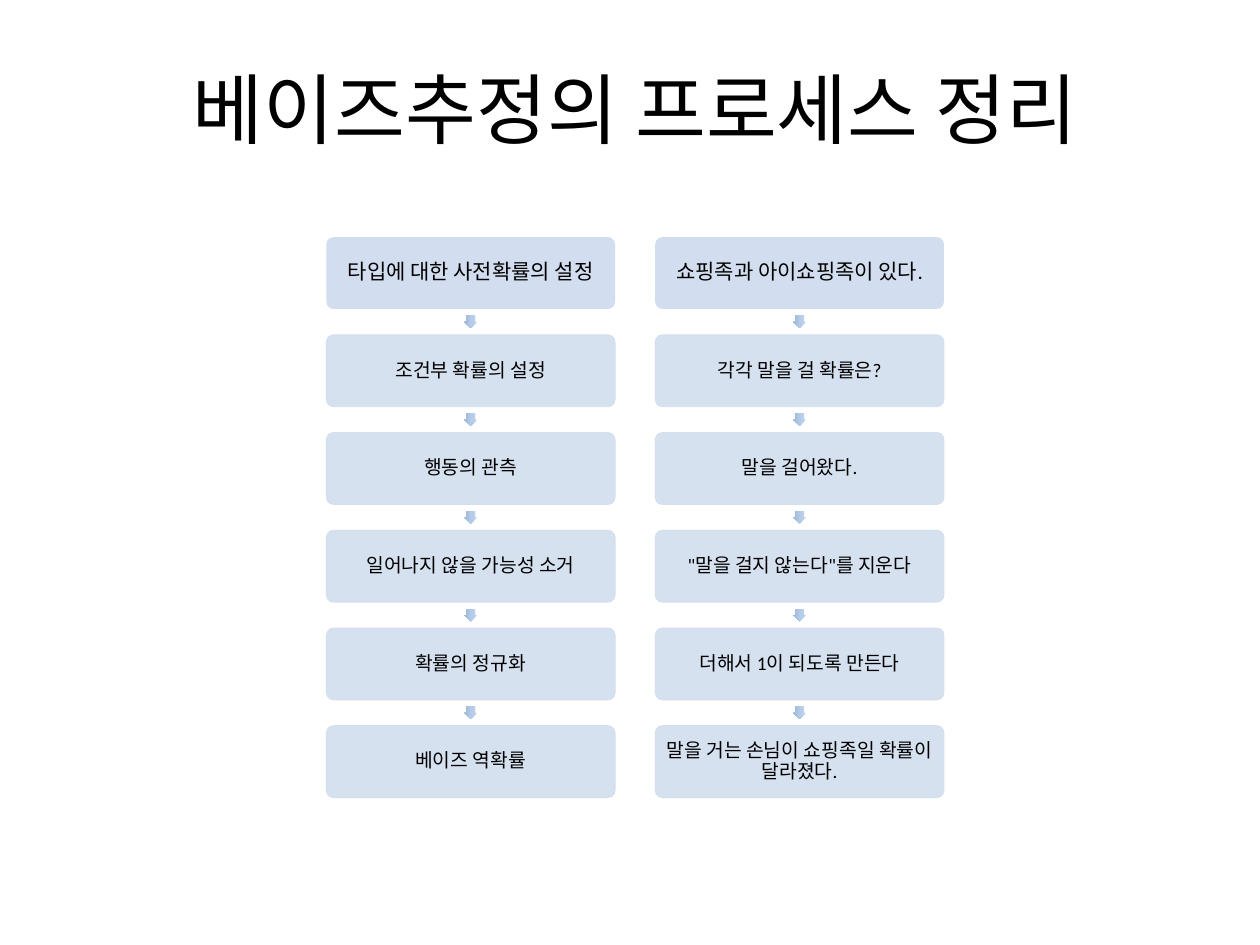
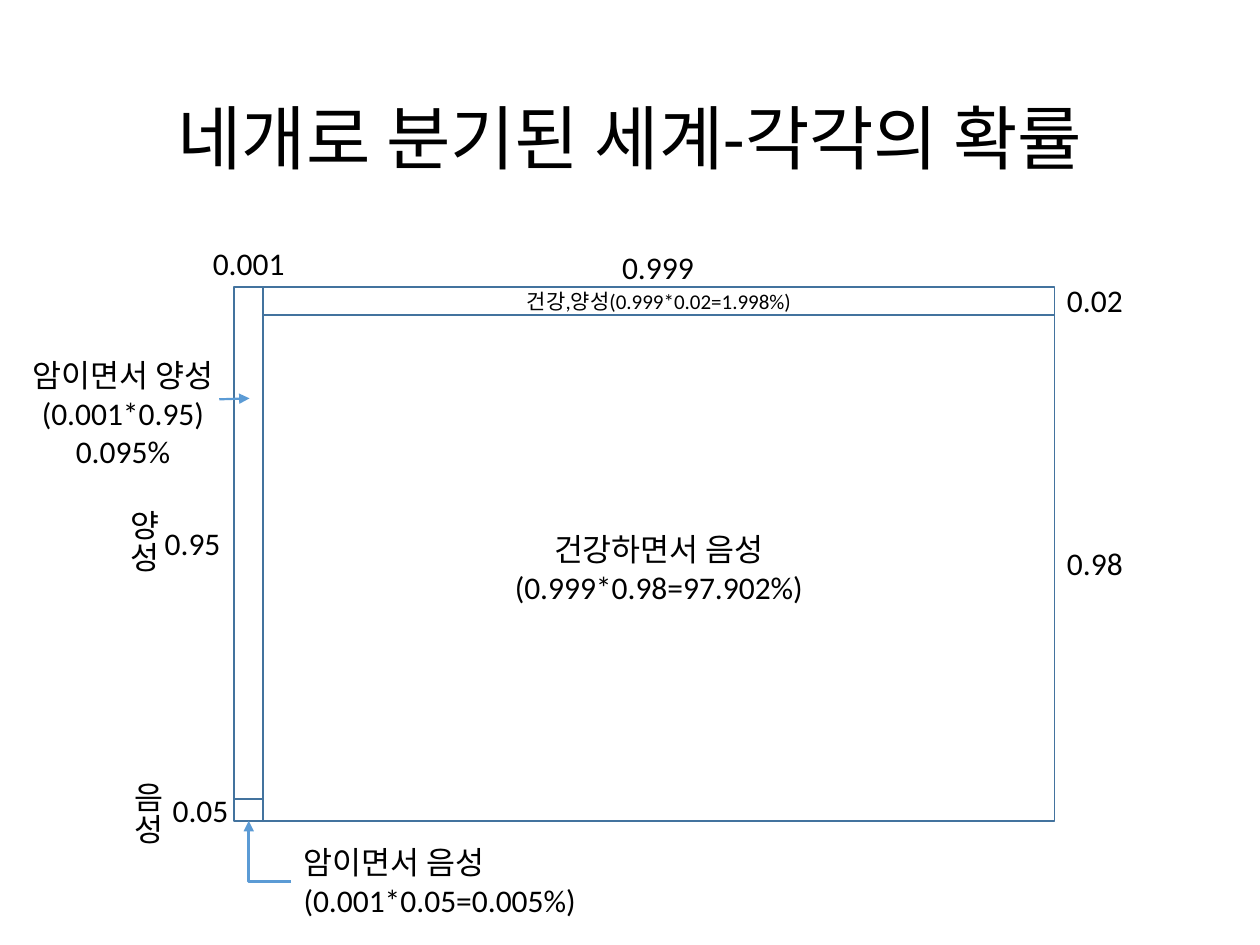
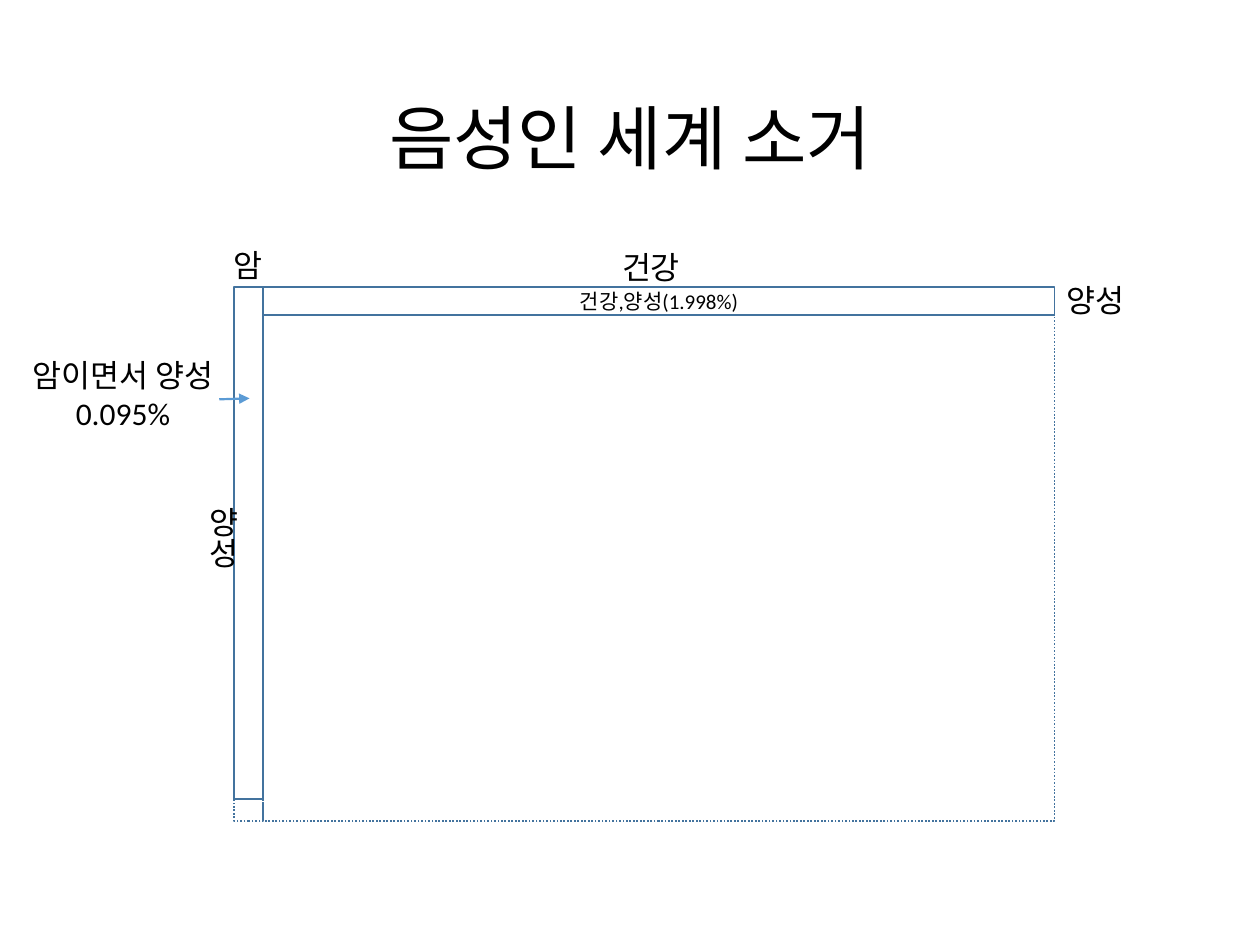
from dataclasses import dataclass
from typing import NamedTuple

from lxml import etree
from pptx import Presentation
from pptx.dml.color import RGBColor
from pptx.enum.dml import MSO_LINE
from pptx.enum.shapes import MSO_CONNECTOR, MSO_SHAPE
from pptx.enum.text import MSO_ANCHOR, MSO_AUTO_SIZE, PP_ALIGN
from pptx.oxml import parse_xml
from pptx.oxml.ns import nsdecls, qn
from pptx.util import Cm, Pt

BOX, ROUND, ARROW = MSO_SHAPE.RECTANGLE, MSO_SHAPE.ROUNDED_RECTANGLE, MSO_SHAPE.RIGHT_ARROW
STRAIGHT, ELBOW = MSO_CONNECTOR.STRAIGHT, MSO_CONNECTOR.ELBOW
LEFT, CENTER, MIDDLE, TOP = PP_ALIGN.LEFT, PP_ALIGN.CENTER, MSO_ANCHOR.MIDDLE, MSO_ANCHOR.TOP
DOTS = MSO_LINE.ROUND_DOT
SIDES = ("margin_left", "margin_top", "margin_right", "margin_bottom")


@dataclass(frozen=True)
class Theme:
    font: str = "Calibri"
    ink: str = "000000"
    step: str = "D2DEEF"
    edge: str = "43739E"
    pointer: str = "5B9BD5"
    fade: tuple[str, ...] = ("C0D2EB", "B3CBE9", "9BB4D3")
    big: float = 44
    title: float = 40
    body: float = 18
    small: float = 12
    tiny: float = 11


class Area(NamedTuple):
    """Left, top, width and height in centimetres."""
    x: float
    y: float
    w: float
    h: float


class Tag(NamedTuple):
    text: str
    x: float
    y: float
    w: float
    align: PP_ALIGN = LEFT
    upright: bool = False


class Cell(NamedTuple):
    area: Area
    text: str = ""
    size: float = 18
    dotted: bool = False


THEME = Theme()

# Process chart
STEPS = (
    ("타입에 대한 사전확률의 설정", "쇼핑족과 아이쇼핑족이 있다."),
    ("조건부 확률의 설정", "각각 말을 걸 확률은?"),
    ("행동의 관측", "말을 걸어왔다."),
    ("일어나지 않을 가능성 소거", '"말을 걸지 않는다"를 지운다'),
    ("확률의 정규화", "더해서 1이 되도록 만든다"),
    ("베이즈 역확률", "말을 거는 손님이 쇼핑족일 확률이 달라졌다."),
)
FIRST = Area(6.58, 4.78, 5.82, 1.45)
COL_GAP, ROW_GAP, TIP = 0.81, 0.52, 0.26

# Edges of the divided world
X0, X1, X2 = 4.72, 5.31, 21.26
Y0, Y1, Y2, Y3 = 5.79, 6.35, 16.11, 16.55
SICK_POS = Area(X0, Y0, X1 - X0, Y2 - Y0)
SICK_NEG = Area(X0, Y2, X1 - X0, Y3 - Y2)
WELL_POS = Area(X1, Y0, X2 - X1, Y1 - Y0)
WELL_NEG = Area(X1, Y1, X2 - X1, Y3 - Y1)
LOW_TITLE = Area(1.75, 1.02, 21.9, 3.68)


def place(area: Area) -> list[Cm]:
    return [Cm(v) for v in area]


def paint(fill, color: str) -> None:
    fill.solid()
    fill.fore_color.rgb = RGBColor.from_string(color)


def write(shape, text: str, size: float, align: PP_ALIGN = CENTER,
          spacing: float = 1.0, **frame_format) -> None:
    frame = shape.text_frame
    frame.text = text
    for key, value in ({"word_wrap": True, "vertical_anchor": MIDDLE} | frame_format).items():
        setattr(frame, key, value)
    for para in frame.paragraphs:
        para.alignment, para.line_spacing = align, spacing
        for key, value in {"name": THEME.font, "size": Pt(size)}.items():
            setattr(para.font, key, value)
        para.font.color.rgb = RGBColor.from_string(THEME.ink)


def add_title(slide, text: str, area: Area, size: float) -> None:
    write(slide.shapes.add_textbox(*place(area)), text, size, spacing=0.9)


def add_shape(slide, kind: MSO_SHAPE, area: Area):
    shape = slide.shapes.add_shape(kind, *place(area))
    shape.shadow.inherit = False
    return shape


def add_step(slide, area: Area, text: str, head: bool) -> None:
    """Heads are solid and a little larger; other steps are slightly see-through."""
    step = add_shape(slide, ROUND, area)
    step.adjustments[0] = 0.1
    paint(step.fill, THEME.step)
    if head:
        step.line.fill.background()
    else:
        paint(step.line.fill, THEME.step)
        step.line.width = Pt(0.5)
        for color in step.element.spPr.iter(qn("a:srgbClr")):
            etree.SubElement(color, qn("a:alpha"), val="90000")
    write(step, text, THEME.small if head else THEME.tiny, spacing=0.9,
          **dict.fromkeys(SIDES, Cm(0.05)))


def add_tip(slide, area: Area) -> None:
    tip = add_shape(slide, ARROW, area)
    tip.rotation = 90
    tip.adjustments[0], tip.adjustments[1] = 0.67, 0.5
    tip.line.fill.background()
    stops = "".join(f'<a:gs pos="{i * 50000}"><a:srgbClr val="{color}"/></a:gs>'
                    for i, color in enumerate(THEME.fade))
    tip.element.spPr.find(qn("a:prstGeom")).addnext(parse_xml(
        f'<a:gradFill {nsdecls("a")} rotWithShape="1"><a:gsLst>{stops}</a:gsLst>'
        '<a:lin ang="5400000" scaled="0"/></a:gradFill>'))


def add_cell(slide, cell: Cell):
    shape = add_shape(slide, BOX, cell.area)
    shape.fill.background()
    paint(shape.line.fill, THEME.edge)
    shape.line.width = Pt(1)
    if cell.dotted:
        shape.line.dash_style = DOTS
    if cell.text:
        write(shape, cell.text, cell.size)
    return shape


def add_tag(slide, tag: Tag):
    lines = tag.text.count("\n") + 1
    height = 1.63 if tag.upright else 0.25 + 0.77 * lines
    box = slide.shapes.add_textbox(*place(Area(tag.x, tag.y, tag.w, height)))
    write(box, tag.text, THEME.body, tag.align, word_wrap=False, vertical_anchor=TOP,
          auto_size=MSO_AUTO_SIZE.SHAPE_TO_FIT_TEXT)
    if tag.upright:
        box.element.txBody.bodyPr.set("vert", "eaVert")
    return box


def add_pointer(slide, kind: MSO_CONNECTOR, ends: Area, width: float):
    """Draw an arrow; ends holds the start point, then the end point."""
    line = slide.shapes.add_connector(kind, *place(ends))
    paint(line.line.fill, THEME.pointer)
    line.line.width = Pt(width)
    props = line.element.spPr
    etree.SubElement(props.find(qn("a:ln")), qn("a:tailEnd"), type="triangle")
    etree.SubElement(props, qn("a:effectLst"))
    return line


def draw_steps(slide) -> None:
    for row, texts in enumerate(STEPS):
        for col, text in enumerate(texts):
            x = FIRST.x + col * (FIRST.w + COL_GAP)
            y = FIRST.y + row * (FIRST.h + ROW_GAP)
            add_step(slide, Area(x, y, FIRST.w, FIRST.h), text, head=row == 0)
            if row < len(STEPS) - 1:
                add_tip(slide, Area(x + (FIRST.w - TIP) / 2,
                                    y + FIRST.h + (ROW_GAP - TIP) / 2, TIP, TIP))
    add_title(slide, "베이즈추정의 프로세스 정리", Area(1.98, 1.02, 21.67, 2.54), THEME.big)


def draw_world(slide, title: str, well_pos: str, well_neg: str, dotted: bool,
               tags: list[Tag]):
    """Draw the four cells with their tags; return the sick and negative cell."""
    add_title(slide, title, LOW_TITLE, THEME.title)
    add_cell(slide, Cell(SICK_POS))
    add_cell(slide, Cell(WELL_POS, well_pos, THEME.small))
    corner = add_cell(slide, Cell(SICK_NEG, dotted=dotted))
    add_cell(slide, Cell(WELL_NEG, well_neg, THEME.body, dotted))
    for tag in tags:
        add_tag(slide, tag)
    add_pointer(slide, STRAIGHT, Area(4.42, 8.05, 5.03, 8.03), 1.25)
    return corner


def draw_four(slide) -> None:
    corner = draw_world(
        slide, "네개로 분기된 세계-각각의 확률", "건강,양성(0.999*0.02=1.998%)",
        "건강하면서 음성\n(0.999*0.98=97.902%)", False, [
            Tag("0.001", 4.04, 4.8, 1.98),
            Tag("0.999", 12.29, 4.88, 1.98),
            Tag("0.95", 3.07, 10.44, 1.65),
            Tag("0.05", 3.23, 15.82, 1.65),
            Tag("양성", 2.13, 10.03, 1.27, upright=True),
            Tag("음성", 2.21, 15.52, 1.27, upright=True),
            Tag("0.02", X2, 5.54, 1.65),
            Tag("0.98", X2, 10.85, 1.65),
            Tag("암이면서 양성\n(0.001*0.95)\n0.095%", 0.23, 7.06, 4.5, CENTER),
        ])
    note = add_tag(slide, Tag("암이면서 음성\n(0.001*0.05=0.005%)", 5.87, 16.87, 6.07))
    bend = add_pointer(slide, ELBOW, Area(5.87, 17.76, 5.02, Y3), 1.5)
    bend.element.spPr.find(qn("a:prstGeom")).set("prst", "bentConnector2")
    bend.begin_connect(note, 1)
    bend.end_connect(corner, 2)


def draw_left(slide) -> None:
    draw_world(slide, "음성인 세계 소거", "건강,양성(1.998%)", "", True, [
        Tag("암", 4.45, 4.83, 1.14),
        Tag("건강", 12.29, 4.88, 1.8),
        Tag("양성", 3.73, 9.96, 1.27, upright=True),
        Tag("양성", X2, 5.54, 1.8),
        Tag("암이면서 양성\n0.095%", 0.23, 7.06, 4.5, CENTER),
    ])


def main() -> None:
    deck = Presentation()
    deck.slide_width, deck.slide_height = Cm(25.4), Cm(19.05)
    for draw in (draw_steps, draw_four, draw_left):
        draw(deck.slides.add_slide(deck.slide_layouts[6]))
    deck.save("out.pptx")


if __name__ == "__main__":
    main()
